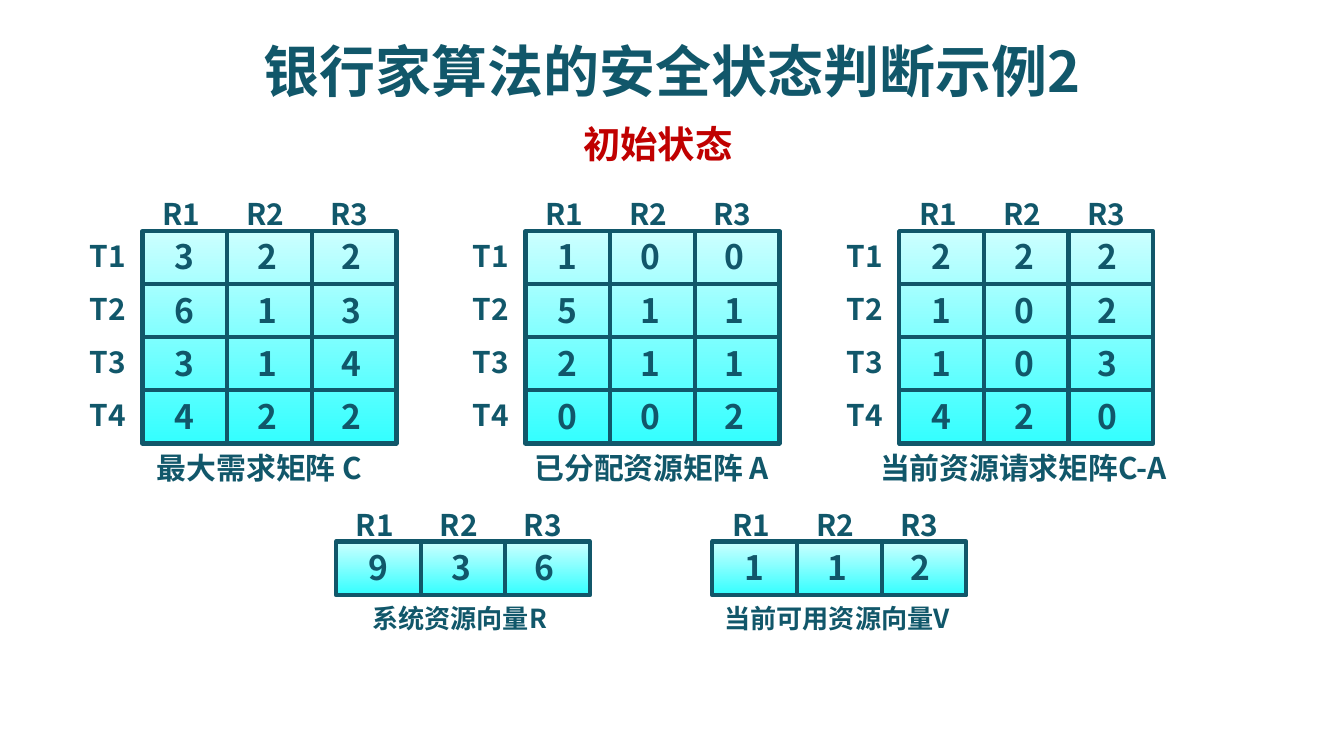
from lxml import etree
from pptx import Presentation
from pptx.dml.color import RGBColor
from pptx.enum.shapes import MSO_CONNECTOR, MSO_SHAPE
from pptx.enum.text import MSO_ANCHOR, PP_ALIGN
from pptx.oxml.ns import qn
from pptx.util import Inches, Pt

RECTANGLE = MSO_SHAPE.RECTANGLE
STRAIGHT = MSO_CONNECTOR.STRAIGHT
LEFT, CENTER = PP_ALIGN.LEFT, PP_ALIGN.CENTER
TOP, MIDDLE = MSO_ANCHOR.TOP, MSO_ANCHOR.MIDDLE

TEAL = RGBColor(0x11, 0x57, 0x6A)
RED = RGBColor(0xC0, 0x00, 0x00)
PALE_CYAN = RGBColor(0xCC, 0xFF, 0xFF)
CYAN = RGBColor(0x33, 0xFF, 0xFF)

FONT = "Noto Sans CJK SC"
COLUMN_WIDTH = 0.63
MATRIX_TOP, MATRIX_ROW = 1.72, 1.58 / 4
VECTOR_TOP, VECTOR_ROW = 4.03, 0.4

# Left edge, values, caption, caption left and width
MATRICES = [
    (1.06, ["322", "613", "314", "422"], "最大需求矩阵 C", 1.07, 1.77),
    (3.91, ["100", "511", "211", "002"], "已分配资源矩阵 A", 3.88, 2.01),
    (6.69, ["222", "102", "103", "420"], "当前资源请求矩阵C-A", 6.45, 2.42),
]
VECTORS = [
    (2.5, ["936"], "系统资源向量R", 2.67, 1.51),
    (5.3, ["112"], "当前可用资源向量V", 5.29, 1.91),
]


def write_text(holder, text, size=16, color=TEAL, align=LEFT, anchor=TOP):
    frame = holder.text_frame
    frame.word_wrap = True
    frame.vertical_anchor = anchor
    paragraph = frame.paragraphs[0]
    paragraph.alignment = align
    run = paragraph.add_run()
    run.text = text
    run.font.name = FONT
    run.font.size = Pt(size)
    run.font.bold = True
    run.font.color.rgb = color
    east_asian = etree.SubElement(run.font._element, qn("a:ea"))
    east_asian.set("typeface", FONT)


def add_label(shapes, text, left, top, width, height, **style):
    box = shapes.add_textbox(*map(Inches, (left, top, width, height)))
    write_text(box, text, **style)


def add_divider(shapes, *ends):
    divider = shapes.add_connector(STRAIGHT, *map(Inches, ends))
    divider.line.color.rgb = TEAL
    divider.line.width = Pt(2.25)
    etree.SubElement(divider._element.spPr, qn("a:effectLst"))


def add_panel(shapes, left, top, width, height):
    panel = shapes.add_shape(RECTANGLE, *map(Inches, (left, top, width, height)))
    panel.shadow.inherit = False
    panel.fill.gradient()
    panel.fill.gradient_angle = 270
    for stop, color in zip(panel.fill.gradient_stops, (PALE_CYAN, CYAN)):
        stop.color.rgb = color
    panel.line.color.rgb = TEAL
    panel.line.width = Pt(2.25)


def add_grid(slide, left, top, rows, row_height, caption, caption_left,
             caption_width, caption_size=16, row_names=True):
    shapes = slide.shapes.add_group_shape().shapes
    columns = len(rows[0])
    width, height = columns * COLUMN_WIDTH, len(rows) * row_height
    right, bottom = left + width, top + height
    add_panel(shapes, left, top, width, height)

    # Inner rules
    for r in range(1, len(rows)):
        y = top + r * row_height
        add_divider(shapes, left, y, right, y)
    for c in range(1, columns):
        x = left + c * COLUMN_WIDTH
        add_divider(shapes, x, top, x, bottom)

    # Resource and task names
    for c in range(columns):
        add_label(shapes, f"R{c + 1}", left + 0.05 + c * 0.625, top - 0.31, 0.5, 0.37)
    if row_names:
        for r in range(len(rows)):
            add_label(shapes, f"T{r + 1}", left - 0.49, top + r * row_height, 0.49, 0.37)

    # Values
    for r, row in enumerate(rows):
        for c, value in enumerate(row):
            add_label(shapes, value, left + 0.14 + c * 0.62,
                      top - 0.01 + r * row_height, 0.36, 0.4, size=18)

    add_label(shapes, caption, caption_left, bottom, caption_width, 0.37,
              size=caption_size)


def main():
    prs = Presentation()
    prs.slide_width, prs.slide_height = Inches(10), Inches(10) * 9 // 16
    slide = prs.slides.add_slide(prs.slide_layouts[5])

    # Headings
    title = slide.shapes.title
    title.left, title.top = Inches(0.5), Inches(0.24)
    title.width, title.height = Inches(9), Inches(0.56)
    write_text(title, "银行家算法的安全状态判断示例2", size=30, align=CENTER, anchor=MIDDLE)
    add_label(slide.shapes, "初始状态", 2.35, 0.85, 5.09, 0.47,
              size=20, color=RED, align=CENTER)

    # Matrices above, vectors below
    for left, rows, *caption in MATRICES:
        add_grid(slide, left, MATRIX_TOP, rows, MATRIX_ROW, *caption)
    for left, rows, *caption in VECTORS:
        add_grid(slide, left, VECTOR_TOP, rows, VECTOR_ROW, *caption,
                 caption_size=14, row_names=False)

    prs.save("out.pptx")


main()
